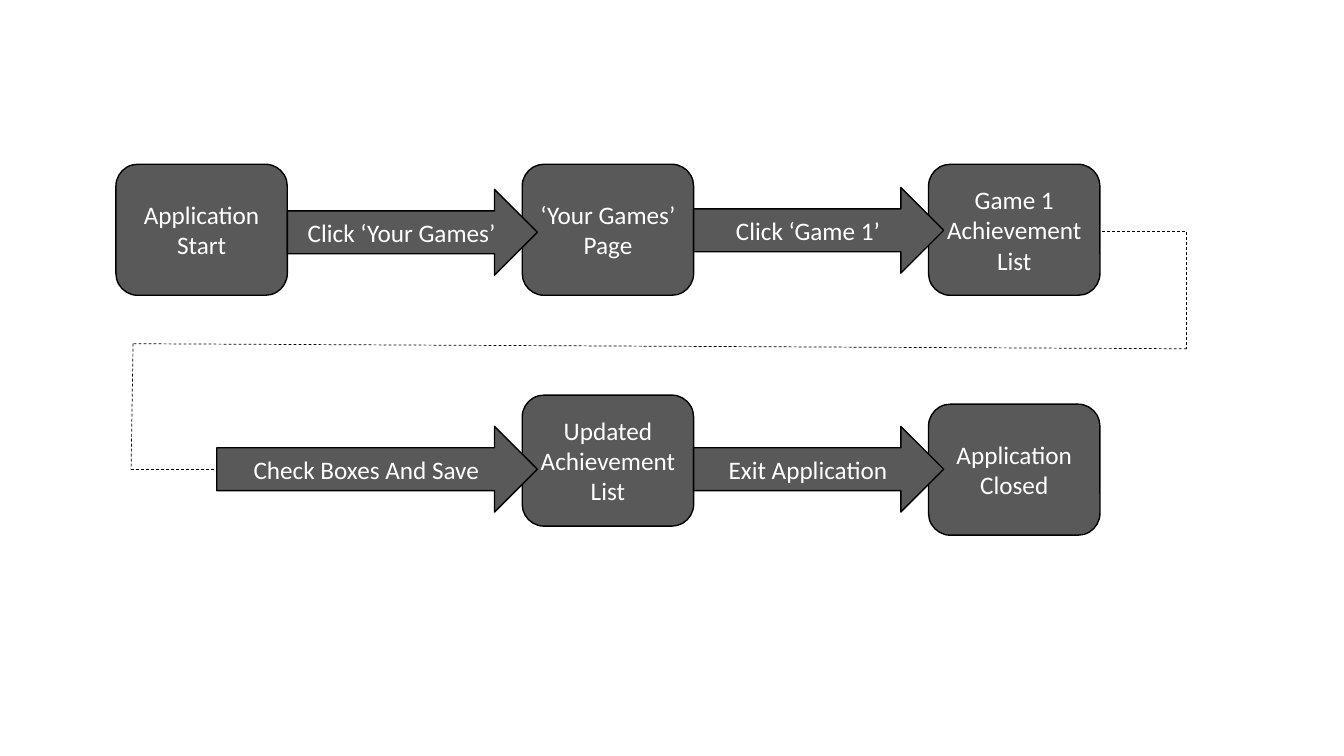
from dataclasses import dataclass
from itertools import pairwise

from pptx import Presentation
from pptx.dml.color import RGBColor
from pptx.enum.dml import MSO_LINE
from pptx.enum.shapes import MSO_CONNECTOR, MSO_SHAPE
from pptx.enum.text import MSO_ANCHOR, PP_ALIGN
from pptx.oxml.ns import qn
from pptx.util import Inches, Pt
from lxml import etree

BOX, ARROW = MSO_SHAPE.ROUNDED_RECTANGLE, MSO_SHAPE.RIGHT_ARROW
LINE, DASH = MSO_CONNECTOR.STRAIGHT, MSO_LINE.DASH
MIDDLE, CENTER = MSO_ANCHOR.MIDDLE, PP_ALIGN.CENTER


@dataclass(frozen=True)
class Theme:
    fill: RGBColor = RGBColor(0x59, 0x59, 0x59)
    edge: RGBColor = RGBColor(0, 0, 0)
    text: RGBColor = RGBColor(255, 255, 255)
    font: str = "Calibri"
    size: float = 18
    rule: float = 1
    thin: float = 0.5


@dataclass(frozen=True)
class Page:
    """A box on the flow grid."""
    label: str
    col: int
    top: float


@dataclass(frozen=True)
class Action:
    """An arrow that leads into the box of a column."""
    label: str
    col: int
    top: float
    extra: float = 0  # added length at the tail


THEME = Theme()

# Grid: three columns of boxes, joined by arrows that overlap the next box
LEFT, STEP = 1.15, 4.03
WIDTH, HEIGHT = 1.7, 1.3
LAP, THICK = 0.15, 0.85
UPPER, LOWER = 1.63, 4.23

PAGES = [
    Page("Application Start", 0, UPPER),
    Page("‘Your Games’ Page", 1, UPPER),
    Page("Game 1 Achievement List", 2, UPPER),
    Page("Updated Achievement List", 1, 3.92),
    Page("Application Closed", 2, 4.01),
]
ACTIONS = [
    Action("Click ‘Your Games’", 1, 1.88),
    Action("Click ‘Game 1’", 2, 1.86),
    Action("Check Boxes And Save", 1, LOWER, 0.7),
    Action("Exit Application", 2, LOWER),
]
# Corners of the dashed route from the upper row to the lower one
ROUTE = [(10.93, 2.3), (11.77, 2.3), (11.77, 3.46),
         (1.32, 3.41), (1.3, 4.66), (2.15, 4.66)]


def column(col: int) -> float:
    return LEFT + col * STEP


def draw_shape(shapes, kind, label: str, left: float, top: float,
               width: float, height: float) -> None:
    shape = shapes.add_shape(kind, *map(Inches, (left, top, width, height)))
    shape.shadow.inherit = False
    shape.fill.solid()
    shape.fill.fore_color.rgb = THEME.fill
    shape.line.color.rgb = THEME.edge
    shape.line.width = Pt(THEME.rule)
    frame = shape.text_frame
    frame.word_wrap = True
    frame.vertical_anchor = MIDDLE
    frame.text = label
    para = frame.paragraphs[0]
    para.alignment = CENTER
    para.font.name = THEME.font
    para.font.size = Pt(THEME.size)
    para.font.color.rgb = THEME.text


def draw_page(shapes, page: Page) -> None:
    draw_shape(shapes, BOX, page.label, column(page.col), page.top,
               WIDTH, HEIGHT)


def draw_action(shapes, action: Action) -> None:
    start = column(action.col - 1) + WIDTH - action.extra
    end = column(action.col) + LAP
    draw_shape(shapes, ARROW, action.label, start, action.top,
               end - start, THICK)


def draw_line(shapes, start: tuple[float, float],
              end: tuple[float, float]) -> None:
    line = shapes.add_connector(LINE, *map(Inches, (*start, *end)))
    line.line.color.rgb = THEME.edge
    line.line.width = Pt(THEME.thin)
    line.line.dash_style = DASH
    etree.SubElement(line.element.spPr, qn("a:effectLst"))


deck = Presentation()
deck.slide_width, deck.slide_height = Inches(13.33), Inches(7.5)
shapes = deck.slides.add_slide(deck.slide_layouts[6]).shapes

# Boxes first, so that the arrow heads lie over them
for page in PAGES:
    draw_page(shapes, page)
for start, end in pairwise(ROUTE):
    draw_line(shapes, start, end)
for action in ACTIONS:
    draw_action(shapes, action)

deck.save("out.pptx")
